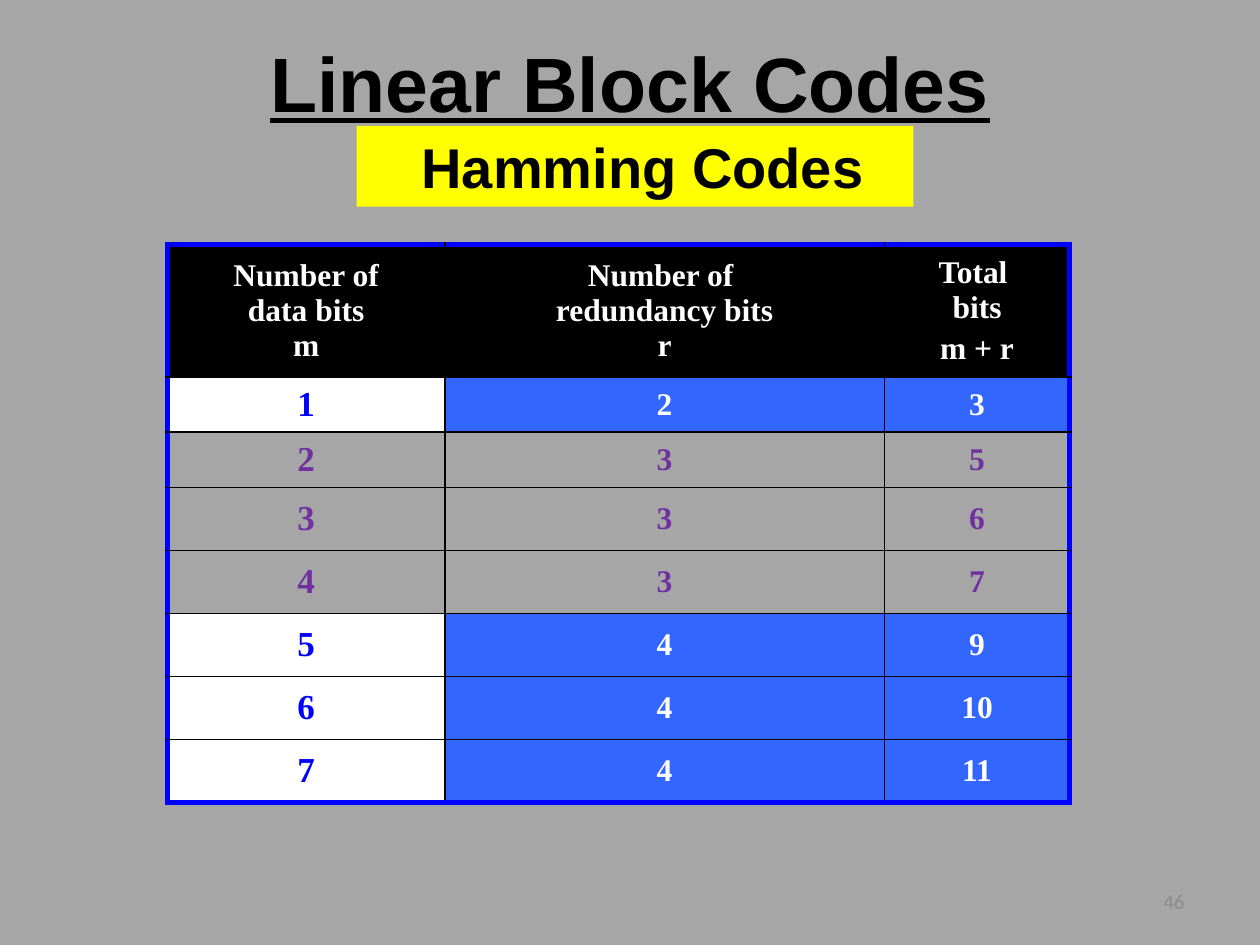
from lxml import etree
from pptx import Presentation
from pptx.dml.color import RGBColor
from pptx.enum.shapes import MSO_SHAPE
from pptx.enum.text import MSO_ANCHOR, PP_ALIGN
from pptx.oxml.ns import qn
from pptx.util import Inches, Pt

CENTER, RIGHT = PP_ALIGN.CENTER, PP_ALIGN.RIGHT
TOP, MIDDLE = MSO_ANCHOR.TOP, MSO_ANCHOR.MIDDLE
RECTANGLE = MSO_SHAPE.RECTANGLE

BLACK = RGBColor(0x00, 0x00, 0x00)
WHITE = RGBColor(0xFF, 0xFF, 0xFF)
GRAY = RGBColor(0xA6, 0xA6, 0xA6)
NUMBER_GRAY = RGBColor(0x8B, 0x8B, 0x8B)
YELLOW = RGBColor(0xFF, 0xFF, 0x00)
BLUE = RGBColor(0x00, 0x00, 0xFF)
CELL_BLUE = RGBColor(0x33, 0x66, 0xFF)
PURPLE = RGBColor(0x70, 0x30, 0xA0)

# Content
TITLE = "Linear Block Codes"
SUBTITLE = "Hamming Codes"
PAGE = "46"
HEADER = ("Number of\vdata bits\vm", "Number of \vredundancy bits\vr", "Total \vbits\nm + r")
BITS = [(1, 2), (2, 3), (3, 3), (4, 3), (5, 4), (6, 4), (7, 4)]  # data, redundancy
GRAY_ROWS = (2, 3, 4)
COL_WIDTHS = (2.2, 3.49, 1.47)
ROW_HEIGHTS = (1.05, 0.44, 0.44, 0.5, 0.5, 0.5, 0.5, 0.5)


def write(tf, text, size, color, font=None, bold=True, align=CENTER, anchor=MIDDLE):
    tf.text = text
    tf.word_wrap = True
    tf.vertical_anchor = anchor
    for i, p in enumerate(tf.paragraphs):
        p.alignment = align
        if i:
            p.space_before = Pt(size * 0.2)
        for r in p.runs:
            r.font.size, r.font.bold = Pt(size), bold
            r.font.color.rgb = color
            if font:
                r.font.name = font


def set_borders(cell, borders):
    """Borders are (color, points) for left, right, top and bottom."""
    tcPr = cell._tc.get_or_add_tcPr()
    for i, (side, (color, points)) in enumerate(zip("LRTB", borders)):
        ln = etree.Element(qn(f"a:ln{side}"), w=str(Pt(points)))
        fill = etree.SubElement(ln, qn("a:solidFill"))
        etree.SubElement(fill, qn("a:srgbClr"), val=str(color))
        tcPr.insert(i, ln)


def cell_style(row, col):
    """Return fill, text color and size."""
    if row == 0:
        return BLACK, WHITE, 18
    size = 20 if col == 0 else 18
    if row in GRAY_ROWS:
        return GRAY, PURPLE, size
    return (WHITE, BLUE, size) if col == 0 else (CELL_BLUE, WHITE, size)


prs = Presentation()
prs.slide_width, prs.slide_height = Inches(10), Inches(7.5)
s = prs.slides.add_slide(prs.slide_layouts[5])
s.background.fill.solid()
s.background.fill.fore_color.rgb = GRAY

# Title
title = s.shapes.title
title.left, title.top = Inches(0.75), Inches(0.17)
title.width, title.height = Inches(8.5), Inches(1.25)
write(title.text_frame, TITLE, 44, BLACK, "Arial", anchor=TOP)
title.text_frame.margin_top = Inches(0.11)
title.text_frame.paragraphs[0].runs[0].font.underline = True

# Subtitle band
band = s.shapes.add_shape(RECTANGLE, Inches(2.83), Inches(1), Inches(4.42), Inches(0.64))
band.shadow.inherit = False
band.fill.solid()
band.fill.fore_color.rgb = YELLOW
band.line.fill.background()
write(band.text_frame, SUBTITLE, 32, BLACK, "Arial")
band.text_frame.margin_left = Inches(0.22)

# Table of code sizes
rows = [HEADER] + [(str(m), str(r), str(m + r)) for m, r in BITS]
last_row, last_col = len(rows) - 1, len(HEADER) - 1
table = s.shapes.add_table(len(rows), len(HEADER), Inches(1.33), Inches(1.94),
                           Inches(sum(COL_WIDTHS)), Inches(sum(ROW_HEIGHTS))).table
for column, width in zip(table.columns, COL_WIDTHS):
    column.width = Inches(width)
for row, height in zip(table.rows, ROW_HEIGHTS):
    row.height = Inches(height)

OUTER, INNER = (BLUE, 3), (BLACK, 1)
for i, row in enumerate(rows):
    for j, text in enumerate(row):
        cell = table.cell(i, j)
        fill, color, size = cell_style(i, j)
        cell.fill.solid()
        cell.fill.fore_color.rgb = fill
        write(cell.text_frame, text, size, color, "Times New Roman")
        cell.vertical_anchor = MIDDLE
        edges = (j == 0, j == last_col, i == 0, i == last_row)
        set_borders(cell, [OUTER if edge else INNER for edge in edges])

# Page number
number = s.shapes.add_textbox(Inches(7.17), Inches(6.95), Inches(2.33), Inches(0.4))
write(number.text_frame, PAGE, 12, NUMBER_GRAY, bold=False, align=RIGHT)

prs.save("out.pptx")
